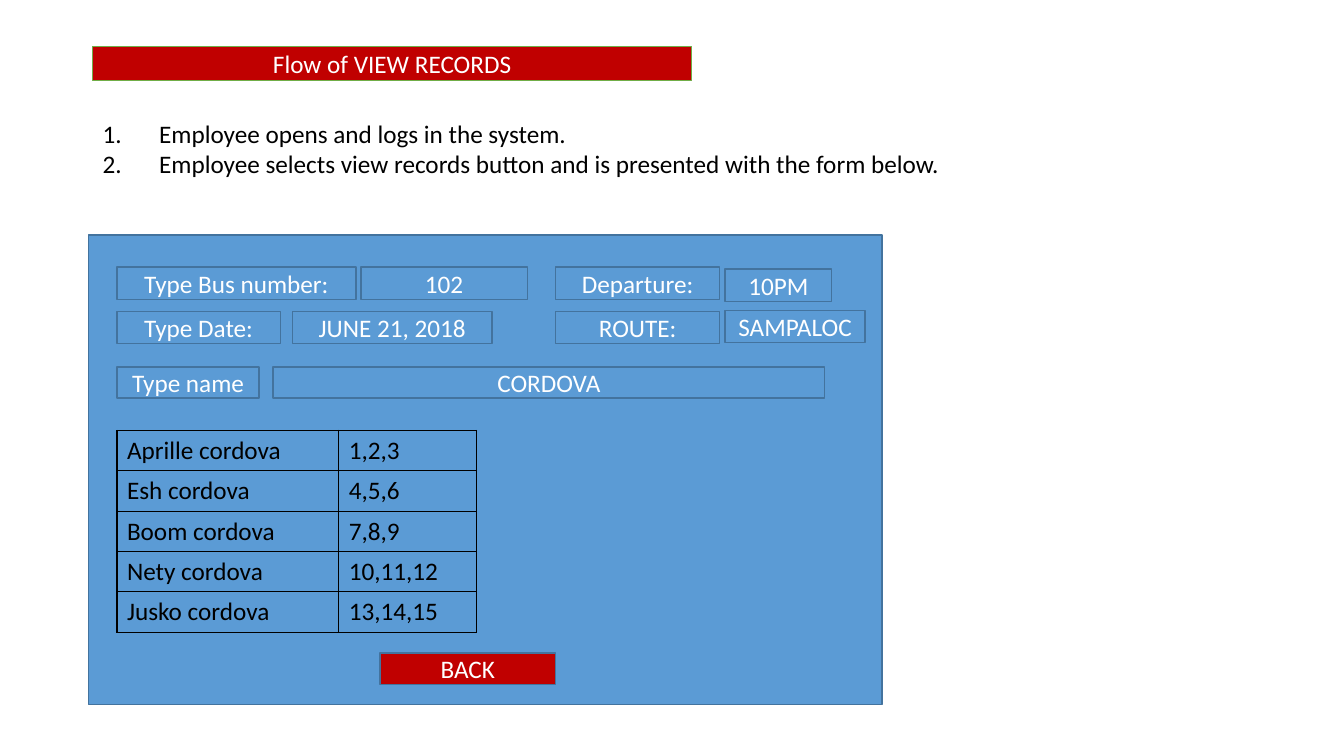
from lxml.etree import SubElement
from pptx import Presentation
from pptx.dml.color import RGBColor
from pptx.enum.shapes import MSO_SHAPE
from pptx.enum.text import MSO_ANCHOR, PP_ALIGN
from pptx.oxml.ns import qn
from pptx.util import Inches, Pt

RED, BLUE, EDGE, GREEN = "C00000", "5B9BD5", "43739E", "70AD47"
WHITE, BLACK = "FFFFFF", "000000"

TITLE = "Flow of VIEW RECORDS"
STEPS = [
    "Employee opens and logs in the system.",
    "Employee selects view records button and is presented with the form below.",
]
# top, height, then (text, left, width) for each box in the row
FORM = [
    (2.65, 0.32, [("Type Bus number:", 1.16, 2.37), ("102", 3.58, 1.65),
                  ("Departure:", 5.51, 1.63)]),
    (2.67, 0.32, [("10PM", 7.19, 1.06)]),
    (3.09, 0.32, [("Type Date:", 1.16, 1.62), ("JUNE 21, 2018", 2.9, 1.98),
                  ("ROUTE:", 5.51, 1.63)]),
    (3.08, 0.32, [("SAMPALOC", 7.19, 1.39)]),
    (3.64, 0.31, [("Type name", 1.16, 1.41), ("CORDOVA", 2.71, 5.47)]),
]
# left, width, entries
LISTS = [
    (1.16, 2.2, ["Aprille cordova", "Esh cordova", "Boom cordova",
                 "Nety cordova", "Jusko cordova"]),
    (3.36, 1.37, ["1,2,3", "4,5,6", "7,8,9", "10,11,12", "13,14,15"]),
]
LIST_TOP, ROW = 4.27, 0.4

deck = Presentation()
deck.slide_width, deck.slide_height = Inches(13.33), Inches(7.5)
slide = deck.slides.add_slide(deck.slide_layouts[6])
shapes = slide.shapes


def color(code):
    return RGBColor.from_string(code)


def write(para, text, ink):
    run = para.add_run()
    run.text = text
    run.font.name, run.font.size = "Calibri", Pt(18)
    run.font.color.rgb = color(ink)


def add_box(text, left, top, width, height, fill=BLUE, edge=EDGE, weight=1):
    box = shapes.add_shape(MSO_SHAPE.RECTANGLE, Inches(left), Inches(top),
                           Inches(width), Inches(height))
    box.shadow.inherit = False
    box.fill.solid()
    box.fill.fore_color.rgb = color(fill)
    box.line.color.rgb = color(edge)
    box.line.width = Pt(weight)
    if text:
        frame = box.text_frame
        frame.vertical_anchor = MSO_ANCHOR.MIDDLE
        frame.paragraphs[0].alignment = PP_ALIGN.CENTER
        write(frame.paragraphs[0], text, WHITE)


def add_steps():
    box = shapes.add_textbox(Inches(0.92), Inches(1.12), Inches(8.65), Inches(1.01))
    frame = box.text_frame
    frame.word_wrap = True
    for i, step in enumerate(STEPS):
        para = frame.add_paragraph() if i else frame.paragraphs[0]
        write(para, step, BLACK)
        props = para._p.get_or_add_pPr()
        props.set("marL", str(Inches(0.56)))
        props.set("indent", str(Inches(-0.56)))
        SubElement(props, qn("a:buFont"), typeface="+mj-lt")
        SubElement(props, qn("a:buAutoNum"), type="arabicPeriod")


def frame_cell(cell):
    """Draw the four black borders and leave the cell unfilled."""
    props = cell._tc.get_or_add_tcPr()
    for side in ("lnL", "lnR", "lnT", "lnB"):
        line = SubElement(props, qn("a:" + side), w=str(Pt(1)))
        fill = SubElement(line, qn("a:solidFill"))
        SubElement(fill, qn("a:srgbClr"), val=BLACK)
    cell.fill.background()


def add_list(left, width, entries):
    table = shapes.add_table(len(entries), 1, Inches(left), Inches(LIST_TOP),
                             Inches(width), Inches(ROW * len(entries))).table
    table.first_row = table.horz_banding = False
    for i, entry in enumerate(entries):
        table.rows[i].height = Inches(ROW)
        cell = table.cell(i, 0)
        frame_cell(cell)
        write(cell.text_frame.paragraphs[0], entry, BLACK)


add_box(TITLE, 0.92, 0.46, 5.94, 0.34, RED, GREEN, 0.5)
add_box("", 0.88, 2.33, 7.87, 4.66)
add_steps()
for left, width, entries in LISTS:
    add_list(left, width, entries)
for top, height, boxes in FORM:
    for text, left, width in boxes:
        add_box(text, left, top, width, height)
add_box("BACK", 3.77, 6.48, 1.74, 0.31, RED)

deck.save("out.pptx")
